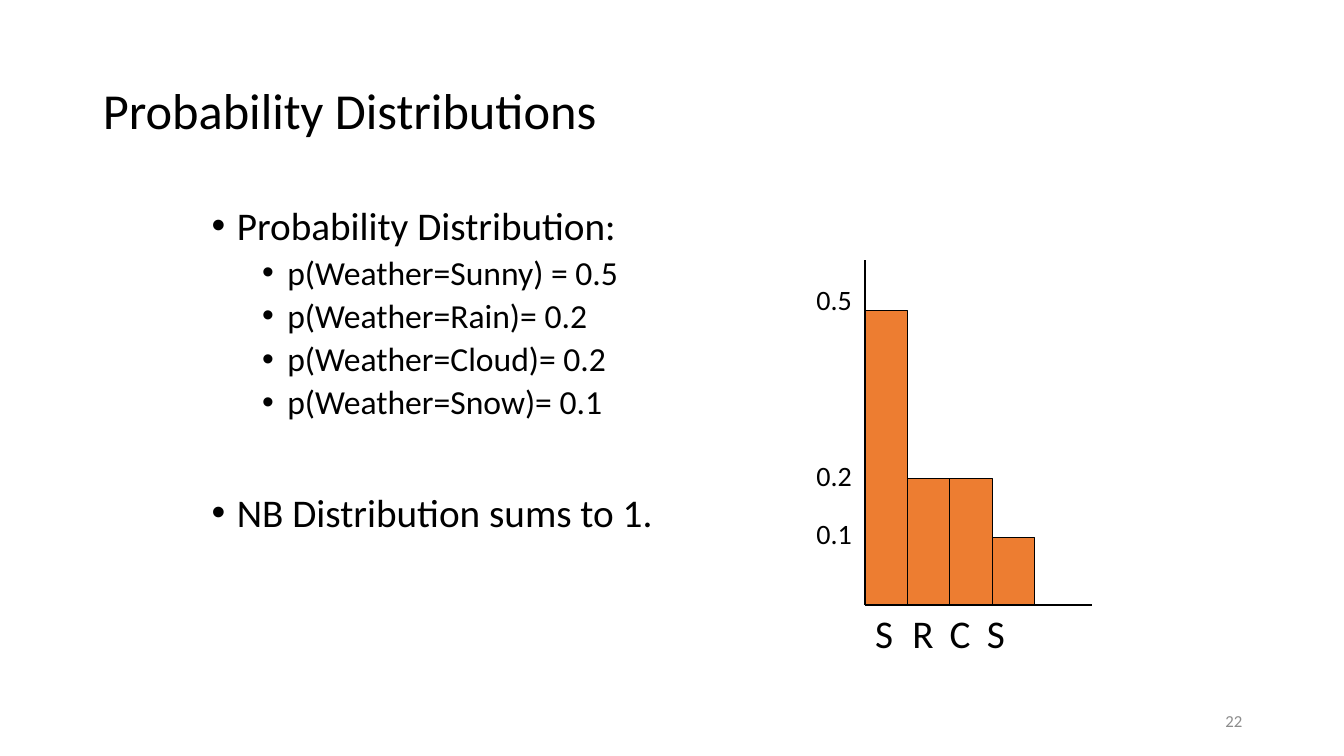
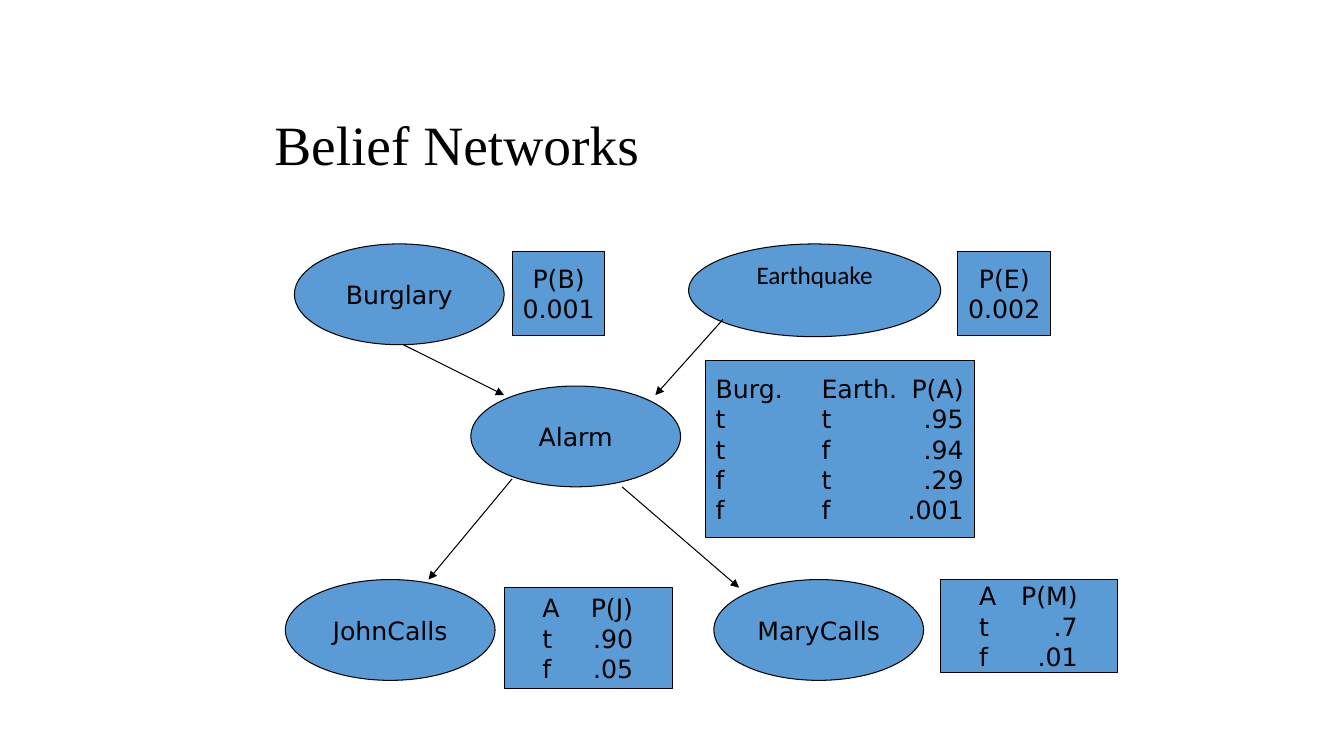
"""Build two slides on probability distributions and belief networks."""
from pptx import Presentation
from pptx.dml.color import RGBColor
from pptx.enum.shapes import MSO_CONNECTOR, MSO_SHAPE
from pptx.enum.text import MSO_ANCHOR, MSO_AUTO_SIZE, PP_ALIGN
from pptx.oxml.ns import qn
from pptx.util import Inches, Pt
from lxml.etree import SubElement

COLORS = {"ink": "000000", "bar": "ED7D31", "node": "5B9BD5", "page": "8C8C8C"}
BODY, NODE, SERIF = "Calibri", "DejaVu Sans", "Times New Roman"

LIST = [
    ("Probability Distribution:", 0, 0),
    ("p(Weather=Sunny) = 0.5", 1, 5),
    ("p(Weather=Rain)= 0.2", 1, 5),
    ("p(Weather=Cloud)= 0.2", 1, 5),
    ("p(Weather=Snow)= 0.1", 1, 5),
    ("NB Distribution sums to 1.", 0, 51),
]
LEVELS = [(28, 0.25), (24, 0.75)]
LEFT, BASE, STEP = 8.58, 6, 0.42
BARS = [2.92, 1.25, 1.25, 0.67]
TICKS = [("0.5", 2.75), ("0.2", 4.5), ("0.1", 5.08)]
AXES = [(LEFT, BASE, LEFT, 2.58), (LEFT, BASE, 10.83, BASE)]

NODES = [
    ("Burglary", 2.92, 2.42), ("Alarm", 4.67, 3.83),
    ("JohnCalls", 2.83, 5.75), ("MaryCalls", 7.08, 5.75),
]
PRIORS = [(["P(B)", "0.001"], 5.08), (["P(E)", "0.002"], 9.5)]
GRIDS = [
    (["Burg.\tEarth.\tP(A)", "t\tt\t.95", "t\tf\t.94", "f\tt\t.29", "f\tf\t.001"],
     (7, 3.58, 2.67, 1.75), 0.1, [(1.05, "l"), (2.46, "r")]),
    (["A\tP(J)", "t\t.90", "f\t.05"], (5, 5.83, 1.67, 1), 0.38, [(0.9, "r")]),
    (["A\tP(M)", "t\t.7", "f\t.01"], (9.33, 5.75, 1.75, 0.92), 0.38, [(0.98, "r")]),
]
ARROWS = [
    (4, 3.42, 5, 3.92), (7.17, 3.17, 6.5, 3.92),
    (5.08, 4.75, 4.25, 5.75), (6.17, 4.83, 7.33, 5.83),
]


def tint(name):
    return RGBColor.from_string(COLORS[name])


def write(shape, lines, size=18, font=BODY, color="ink", align=PP_ALIGN.LEFT,
          anchor=MSO_ANCHOR.TOP, wrap=True, space=None, inset=None, tabs=()):
    """Fill a shape with lines of text, or (text, level, space before) tuples."""
    frame = shape.text_frame
    frame.auto_size = MSO_AUTO_SIZE.NONE
    frame.word_wrap = wrap
    frame.vertical_anchor = anchor
    if inset is not None:
        frame.margin_left, frame.margin_right = Inches(inset), 0
    for i, line in enumerate(lines):
        para = frame.paragraphs[0] if i == 0 else frame.add_paragraph()
        props = para._p.get_or_add_pPr()
        points = size
        if isinstance(line, tuple):
            line, level, before = line
            points, margin = LEVELS[level]
            para.level = level
            props.set("marL", str(Inches(margin)))
            props.set("indent", str(Inches(-0.25)))
            SubElement(props, qn("a:buFont"), typeface="Arial")
            SubElement(props, qn("a:buChar"), char="•")
            para.space_before = Pt(before)
        if tabs:
            stops = SubElement(props, qn("a:tabLst"))
            for pos, side in tabs:
                SubElement(stops, qn("a:tab"), pos=str(Inches(pos)), algn=side)
        para.alignment = align
        if space:
            para.line_spacing = space
        run = para.add_run()
        run.text = line
        run.font.name, run.font.size = font, Pt(points)
        run.font.color.rgb = tint(color)


def place(shape, *box):
    shape.left, shape.top, shape.width, shape.height = map(Inches, box)
    return shape


def label(slide, box, text, **style):
    write(slide.shapes.add_textbox(*map(Inches, box)), [text], **style)


def draw(slide, kind, box, fill):
    shape = slide.shapes.add_shape(kind, *map(Inches, box))
    shape.shadow.inherit = False
    shape.fill.solid()
    shape.fill.fore_color.rgb = tint(fill)
    shape.line.color.rgb = tint("ink")
    shape.line.width = Pt(0.75)
    return shape


def link(slide, ends, width, arrow=False):
    line = slide.shapes.add_connector(MSO_CONNECTOR.STRAIGHT, *map(Inches, ends))
    line.line.color.rgb = tint("ink")
    line.line.width = Pt(width)
    if arrow:
        SubElement(line.line._get_or_add_ln(), qn("a:tailEnd"), type="triangle")
    SubElement(line._element.spPr, qn("a:effectLst"))


def start(deck, layout, title, box, **style):
    slide = deck.slides.add_slide(deck.slide_layouts[layout])
    write(place(slide.shapes.title, *box), [title],
          anchor=MSO_ANCHOR.MIDDLE, space=0.9, **style)
    return slide


def weather(deck):
    slide = start(deck, 1, "Probability Distributions", (0.92, 0.4, 11.5, 1.45), size=36)
    write(place(slide.placeholders[1], 2, 2, 5.17, 4.56), LIST, space=0.9)
    for i, high in enumerate(BARS):
        draw(slide, MSO_SHAPE.RECTANGLE,
             (LEFT + i * STEP, BASE - high, STEP, high), "bar")
    for ends in AXES:
        link(slide, ends, 1.5)
    for text, top in TICKS:
        label(slide, (8, top, 0.56, 0.44), text, size=20, wrap=False)
    label(slide, (LEFT, BASE, 1.52, 0.57), "S\tR\tC\tS", size=28,
          tabs=[(0.37 * n, "l") for n in (1, 2, 3)])
    label(slide, (9.42, 6.95, 3, 0.4), "22", size=12, color="page",
          align=PP_ALIGN.RIGHT, anchor=MSO_ANCHOR.MIDDLE)


def network(deck):
    slide = start(deck, 5, "Belief Networks", (2.62, 1.15, 8.93, 0.63),
                  size=39.6, font=SERIF)
    mid = dict(font=NODE, anchor=MSO_ANCHOR.MIDDLE)
    for text, left, top in NODES:
        write(draw(slide, MSO_SHAPE.OVAL, (left, top, 2.08, 1), "node"), [text],
              align=PP_ALIGN.CENTER, wrap=False, **mid)
    write(draw(slide, MSO_SHAPE.OVAL, (6.83, 2.42, 2.5, 0.92), "node"),
          ["Earthquake"], align=PP_ALIGN.CENTER, space=0.9)
    for lines, left in PRIORS:
        write(draw(slide, MSO_SHAPE.RECTANGLE, (left, 2.5, 0.92, 0.83), "node"), lines,
              align=PP_ALIGN.CENTER, wrap=False, **mid)
    for lines, box, inset, tabs in GRIDS:
        write(draw(slide, MSO_SHAPE.RECTANGLE, box, "node"), lines,
              inset=inset, tabs=tabs, **mid)
    for ends in ARROWS:
        link(slide, ends, 0.75, arrow=True)


def main():
    deck = Presentation()
    deck.slide_width, deck.slide_height = Inches(13.33), Inches(7.5)
    weather(deck)
    network(deck)
    deck.save("out.pptx")


if __name__ == "__main__":
    main()
